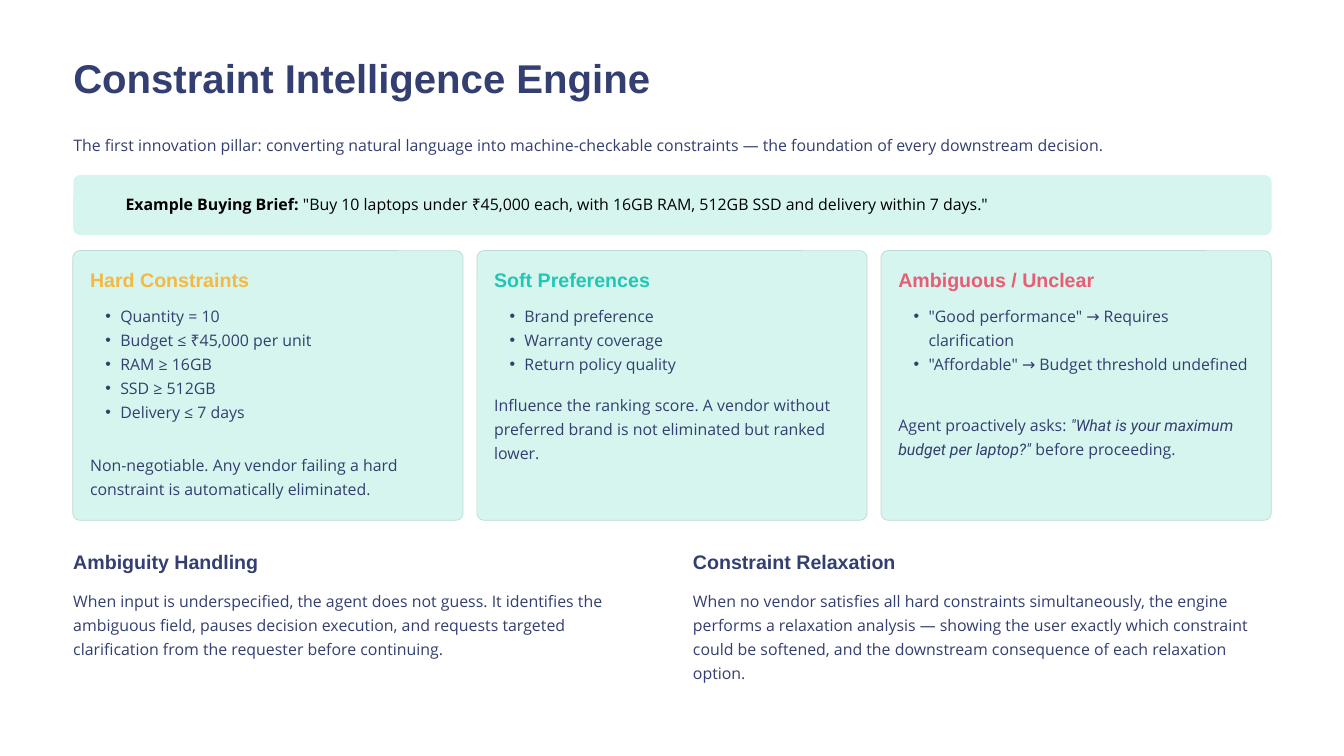
from dataclasses import dataclass

from lxml.etree import SubElement
from pptx import Presentation
from pptx.dml.color import RGBColor
from pptx.enum.shapes import MSO_SHAPE
from pptx.enum.text import MSO_ANCHOR, MSO_AUTO_SIZE, PP_ALIGN
from pptx.oxml.ns import qn
from pptx.util import Pt

NAVY, MINT, EDGE = "333F70", "D6F5EE", "BCDBD4"
LEFT, WIDE = 78.5, 1284


@dataclass
class Run:
    text: str
    size: float = 17
    font: str = "Open Sans"
    color: str = NAVY
    bold: bool = False
    italic: bool = False


@dataclass
class Box:
    left: float
    top: float
    width: float
    height: float


@dataclass
class Card:
    head: str
    color: str
    items: list[str]
    deep: float  # height of the list
    slot: int  # placeholder that holds the list
    note: list[Run]
    low: float  # top of the note
    tall: float  # height of the note


@dataclass
class Topic:
    head: str
    text: str
    tall: float


CARDS = [
    Card("Hard Constraints", "F5B942",
         ["Quantity = 10", "Budget ≤ ₹45,000 per unit", "RAM ≥ 16GB",
          "SSD ≥ 512GB", "Delivery ≤ 7 days"], 153.5, 2,
         [Run("Non-negotiable. Any vendor failing a hard constraint is "
              "automatically eliminated.")], 482.5, 56),
    Card("Soft Preferences", "20C7B5",
         ["Brand preference", "Warranty coverage", "Return policy quality"],
         90, 3,
         [Run("Influence the ranking score. A vendor without preferred brand "
              "is not eliminated but ranked lower.")], 419, 83),
    Card("Ambiguous / Unclear", "E85D75",
         ['"Good performance" → Requires clarification',
          '"Affordable" → Budget threshold undefined'], 111, 4,
         [Run("Agent proactively asks: "),
          Run('"What is your maximum budget per laptop?"', font="Roboto",
              italic=True),
          Run(" before proceeding.")], 440, 83),
]
TOPICS = [
    Topic("Ambiguity Handling",
          "When input is underspecified, the agent does not guess. It "
          "identifies the ambiguous field, pauses decision execution, and "
          "requests targeted clarification from the requester before "
          "continuing.", 83),
    Topic("Constraint Relaxation",
          "When no vendor satisfies all hard constraints simultaneously, the "
          "engine performs a relaxation analysis — showing the user exactly "
          "which constraint could be softened, and the downstream consequence "
          "of each relaxation option.", 109),
]


def tint(code: str) -> RGBColor:
    return RGBColor.from_string(code)


def place(shape, box: Box) -> None:
    shape.left, shape.top = Pt(box.left), Pt(box.top)
    shape.width, shape.height = Pt(box.width), Pt(box.height)


def mark(para, dot: bool) -> None:
    """Set the bullet and indent of a paragraph."""
    props = para._p.get_or_add_pPr()
    props.set("marL", str(Pt(32.4) if dot else 0))
    props.set("indent", str(Pt(-16) if dot else 0))
    if dot:
        SubElement(props, qn("a:buFont")).set("typeface", "Arial")
        SubElement(props, qn("a:buChar")).set("char", "•")
    else:
        SubElement(props, qn("a:buNone"))


def write(shape, paras: list[list[Run]], pitch: float = 25.7,
          dot: bool = False) -> None:
    """Fill a shape with paragraphs, each a list of runs."""
    frame = shape.text_frame
    frame.word_wrap = True
    frame.auto_size = MSO_AUTO_SIZE.NONE
    frame.vertical_anchor = MSO_ANCHOR.TOP
    frame.margin_left = frame.margin_right = 0
    frame.margin_top = frame.margin_bottom = 0
    for i, runs in enumerate(paras):
        para = frame.add_paragraph() if i else frame.paragraphs[0]
        para.level = int(dot)
        mark(para, dot)
        para.alignment = PP_ALIGN.LEFT
        para.line_spacing = Pt(pitch)
        para.space_before = para.space_after = Pt(0)
        for item in runs:
            run = para.add_run()
            run.text = item.text
            font = run.font
            font.size, font.name = Pt(item.size), item.font
            font.bold, font.italic = item.bold, item.italic
            font.color.rgb = tint(item.color)


def label(slide, box: Box, runs: list[Run], pitch: float = 25.7) -> None:
    shape = slide.shapes.add_textbox(0, 0, 0, 0)
    place(shape, box)
    write(shape, [runs], pitch)


def heading(slide, box: Box, text: str, color: str = NAVY) -> None:
    label(slide, box, [Run(text, 21, "Arial", color, True)], 26.2)


def panel(slide, box: Box, edge: str | None = None) -> None:
    shape = slide.shapes.add_shape(MSO_SHAPE.ROUNDED_RECTANGLE, 0, 0, 0, 0)
    place(shape, box)
    shape.adjustments[0] = 7.5 / min(box.width, box.height)
    shape.shadow.inherit = False
    shape.fill.solid()
    shape.fill.fore_color.rgb = tint(MINT)
    if edge:
        shape.line.color.rgb = tint(edge)
        shape.line.width = Pt(0.75)
    else:
        shape.line.fill.background()


def column(slide, card: Card, left: float) -> None:
    panel(slide, Box(left, 268.5, 418, 289), EDGE)
    inner, width = left + 18.5, 381.5
    heading(slide, Box(inner, 286, width, 29), card.head, card.color)
    body = slide.placeholders[card.slot]
    place(body, Box(inner, 323.5, width, card.deep))
    write(body, [[Run(item)] for item in card.items], dot=True)
    # Lift the list above its panel
    slide.shapes._spTree.append(body._element)
    label(slide, Box(inner, card.low, width, card.tall), card.note)


def main() -> None:
    deck = Presentation()
    deck.slide_width, deck.slide_height = Pt(1440), Pt(810)
    slide = deck.slides.add_slide(deck.slide_layouts.get_by_name("Comparison"))

    title = slide.shapes.title
    place(title, Box(LEFT, 55.5, WIDE, 57.5))
    write(title, [[Run("Constraint Intelligence Engine", 43, "Arial",
                       bold=True)]], 53.7)
    lead = slide.placeholders[1]
    place(lead, Box(LEFT, 139.5, 1356, 30))
    write(lead, [[Run("The first innovation pillar: converting natural "
                      "language into machine-checkable constraints — the "
                      "foundation of every downstream decision.")]])

    panel(slide, Box(LEFT, 187.5, WIDE, 64.5))
    label(slide, Box(134.5, 203, 1220, 30), [
        Run("Example Buying Brief:", color="000000", bold=True),
        Run(' "Buy 10 laptops under ₹45,000 each, with 16GB RAM, 512GB SSD '
            'and delivery within 7 days."', color="000000")])

    for i, card in enumerate(CARDS):
        column(slide, card, 78 + 433 * i)
    for i, topic in enumerate(TOPICS):
        left = LEFT + 664 * i
        heading(slide, Box(left, 588.5, 620.5, 29), topic.head)
        label(slide, Box(left, 628.5, 620.5, topic.tall), [Run(topic.text)])
    deck.save("out.pptx")


if __name__ == "__main__":
    main()
